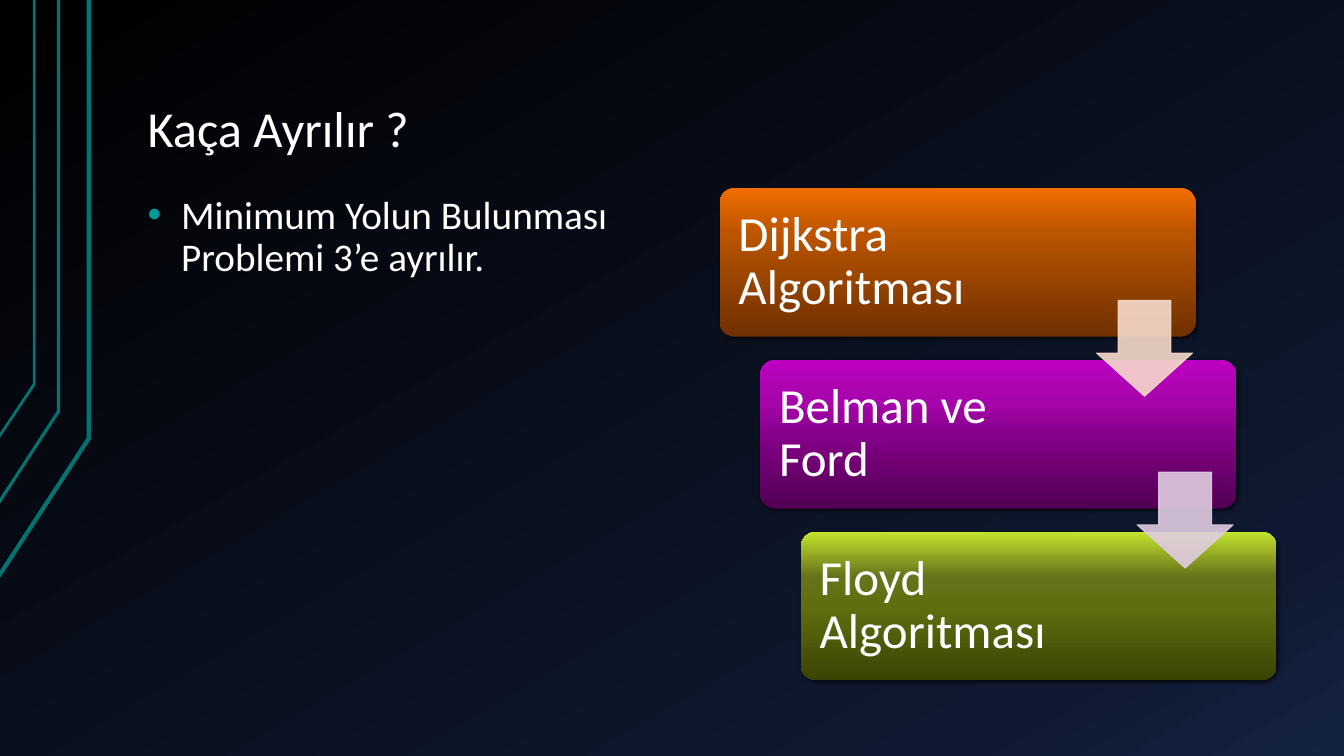
from lxml import etree
from pptx import Presentation
from pptx.dml.color import RGBColor
from pptx.enum.shapes import MSO_SHAPE
from pptx.enum.text import MSO_ANCHOR
from pptx.oxml.ns import qn
from pptx.util import Pt

ROUNDED = MSO_SHAPE.ROUNDED_RECTANGLE
DOWN_ARROW = MSO_SHAPE.DOWN_ARROW
TOP, MIDDLE, BOTTOM = MSO_ANCHOR.TOP, MSO_ANCHOR.MIDDLE, MSO_ANCHOR.BOTTOM

WHITE = RGBColor(0xFF, 0xFF, 0xFF)
BLACK = RGBColor(0x00, 0x00, 0x00)
TEAL = RGBColor(0x00, 0x73, 0x73)
BULLET_TEAL = RGBColor(0x00, 0x99, 0x99)
PEACH = RGBColor(0xF7, 0xDA, 0xCC)
LILAC = RGBColor(0xE0, 0xCC, 0xE1)
NIGHT = [(0, BLACK), (85, RGBColor(0x0F, 0x19, 0x31)),
         (100, RGBColor(0x14, 0x22, 0x42))]
ORANGE = [(0, RGBColor(0x70, 0x30, 0x00)), (50, RGBColor(0xA4, 0x4A, 0x00)),
          (70, RGBColor(0xBC, 0x55, 0x00)), (100, RGBColor(0xF2, 0x6D, 0x00))]
PURPLE = [(0, RGBColor(0x52, 0x00, 0x54)), (50, RGBColor(0x85, 0x00, 0x88)),
          (70, RGBColor(0xA5, 0x05, 0xA9)), (100, RGBColor(0xBC, 0x00, 0xC0))]
GREEN = [(0, RGBColor(0x39, 0x44, 0x04)), (50, RGBColor(0x5F, 0x6F, 0x0F)),
         (70, RGBColor(0x65, 0x74, 0x1A)), (100, RGBColor(0xC4, 0xE3, 0x2D))]

FONT = "Calibri"
STEPS = [("Dijkstra Algoritması", ORANGE, 226),
         ("Belman ve Ford", PURPLE, 235),
         ("Floyd Algoritması", GREEN, 235)]
ARROWS = [PEACH, LILAC]
RAILS = [(63.4, 313.2, 411.8, 3), (41.8, 293.8, 359.3, 2.25), (24.5, 274.3, 312.5, 2)]


def add_node(parent, tag, **attributes):
    """Append a DrawingML element to a parent."""
    values = {name: str(value) for name, value in attributes.items()}
    return etree.SubElement(parent, qn(tag), values)


def set_gradient(fill, owner, stops, angle):
    """Give a fill a linear gradient with any number of stops."""
    fill.gradient()
    gradient = next(owner.iter(qn("a:gradFill")))
    for child in list(gradient):
        gradient.remove(child)
    stop_list = add_node(gradient, "a:gsLst")
    for position, color in stops:
        stop = add_node(stop_list, "a:gs", pos=position * 1000)
        add_node(stop, "a:srgbClr", val=color)
    add_node(gradient, "a:lin", ang=angle * 60000, scaled=0)


def add_text(page, box, text, size, anchor, margins):
    """Place one paragraph in a text box and return the paragraph."""
    frame = page.shapes.add_textbox(*map(Pt, box)).text_frame
    frame.word_wrap = True
    frame.vertical_anchor = anchor
    frame.margin_left = frame.margin_right = Pt(margins[0])
    frame.margin_top = frame.margin_bottom = Pt(margins[1])
    para = frame.paragraphs[0]
    para.text = text
    para.line_spacing = 0.9
    para.font.name, para.font.size = FONT, Pt(size)
    para.font.color.rgb = WHITE
    return para


def add_rails(page, left, top):
    """Draw the bent teal lines along the left edge."""
    for right, bend, bottom, width in RAILS:
        builder = page.shapes.build_freeform(Pt(left - 1), Pt(top + bottom))
        corners = [(Pt(left + right), Pt(top + bend)), (Pt(left + right), Pt(top))]
        builder.add_line_segments(corners, close=False)
        rail = builder.convert_to_shape()
        rail.shadow.inherit = False
        rail.fill.background()
        rail.line.color.rgb = TEAL
        rail.line.width = Pt(width)


def add_body(page, box):
    """Write the bulleted statement."""
    para = add_text(page, box, "Minimum Yolun Bulunması Problemi 3’e ayrılır.",
                    28, TOP, (9.4, 5))
    para.space_before = Pt(16)
    properties = para._p.get_or_add_pPr()
    properties.set("marL", str(Pt(24)))
    properties.set("indent", str(Pt(-24)))
    add_node(add_node(properties, "a:buClr"), "a:srgbClr", val=BULLET_TEAL)
    add_node(properties, "a:buFont", typeface="Arial")
    add_node(properties, "a:buChar", char="•")


def add_step(page, box, text, stops, text_width):
    """Draw one gradient card with its label."""
    left, top, width, height = box
    card = page.shapes.add_shape(ROUNDED, *map(Pt, box))
    card.adjustments[0] = 0.1
    card.line.fill.background()
    set_gradient(card.fill, card._element, stops, 270)
    card.shadow.inherit = False
    effects = next(card._element.iter(qn("a:effectLst")))
    shadow = add_node(effects, "a:outerShdw", blurRad=Pt(3), dist=Pt(2), dir=45 * 60000)
    add_node(add_node(shadow, "a:srgbClr", val=BLACK), "a:alpha", val=60000)
    add_text(page, (left + 3, top + 3, text_width, height - 6.5),
             text, 35, MIDDLE, (10.5, 10.5))


def add_arrow(page, box, color):
    """Draw one translucent arrow between two cards."""
    arrow = page.shapes.add_shape(DOWN_ARROW, *map(Pt, box))
    arrow.adjustments[0], arrow.adjustments[1] = 0.55, 0.45
    arrow.shadow.inherit = False
    arrow.fill.solid()
    arrow.fill.fore_color.rgb = arrow.line.color.rgb = color
    arrow.line.width = Pt(0.75)
    for tint in arrow._element.spPr.iter(qn("a:srgbClr")):
        add_node(tint, "a:alpha", val=90000)


def add_staircase(page, box):
    """Place the cards stepping down to the right, then the arrows."""
    left, top, width, height = box
    card_width, card_height, arrow_size = 340, 106, 68.5
    across = (width - card_width) / (len(STEPS) - 1)
    down = (height - card_height) / (len(STEPS) - 1)
    for index, (text, stops, text_width) in enumerate(STEPS):
        card = (left + index * across, top + index * down, card_width, card_height)
        add_step(page, card, text, stops, text_width)
    for index, color in enumerate(ARROWS):
        add_arrow(page, (left + 269.3 + index * across, top + 80 + index * down,
                         arrow_size, arrow_size), color)


def main():
    """Build the slide and save the deck."""
    deck = Presentation()
    deck.slide_width, deck.slide_height = Pt(960), Pt(540)
    page = deck.slides.add_slide(deck.slide_layouts[6])
    set_gradient(page.background.fill, page._element, NIGHT, 60)
    add_rails(page, 0, 0)
    add_text(page, (96, 21.6, 816, 96.5), "Kaça Ayrılır ?", 36, BOTTOM, (9.4, 5))
    add_body(page, (96, 134.6, 399.6, 351.4))
    add_staircase(page, (514, 134.5, 398, 351.5))
    deck.save("out.pptx")


if __name__ == "__main__":
    main()
